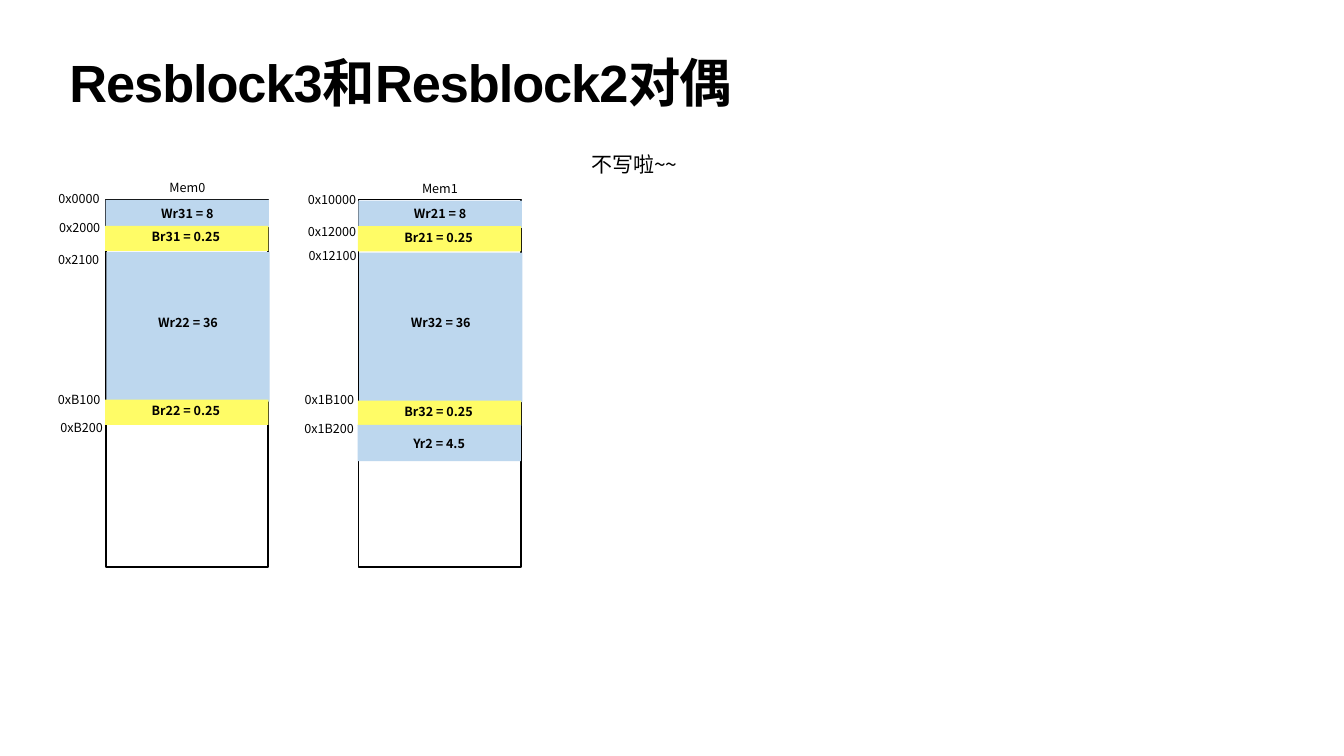
import pptx
import pptx.util
import pptx.dml.color
import pptx.enum.shapes
import pptx.enum.text
import lxml.etree
from dataclasses import dataclass
from typing import Any

Cm, Pt = pptx.util.Cm, pptx.util.Pt
Align, Anchor = pptx.enum.text.PP_ALIGN, pptx.enum.text.MSO_ANCHOR
HUES = {"black": "000000", "blue": "BDD7EE", "yellow": "FFFC66"}
SANS = "Noto Sans CJK SC"


@dataclass
class Kind:
    """Look of a block; label values are relative to the block."""
    hue: str
    left: float
    high: float
    label_left: float
    label_top: float
    label_high: float


@dataclass
class Block:
    text: str
    kind: Kind
    top: float


@dataclass
class Mark:
    text: str
    left: float
    top: float


@dataclass
class Bank:
    left: float
    name: Mark
    blocks: list[Block]
    marks: list[Mark]


# Block kinds
WEIGHT = Kind("blue", 0, 1.37, 0.23, 0, 1.32)
BIAS = Kind("yellow", -0.03, 1.27, 0.18, -0.03, 1.17)
LARGE = Kind("blue", 0.03, 7.54, 0.23, -0.06, 7.21)
RESULT = Kind("blue", -0.05, 1.83, 0.23, 0.46, 0.91)

# Memory banks, lengths in centimetres
BANKS = [
    Bank(5.33, Mark("Mem0", 8.05, 8.94),
         [Block("Wr31 = 8", WEIGHT, 10.08), Block("Br31 = 0.25", BIAS, 11.38),
          Block("Wr22 = 36", LARGE, 12.7), Block("Br22 = 0.25", BIAS, 20.14)],
         [Mark("0x0000", 2.59, 9.5), Mark("0x2000", 2.62, 10.97),
          Mark("0x2100", 2.57, 12.57), Mark("0xB100", 2.59, 19.61),
          Mark("0xB200", 2.72, 21.01)]),
    Bank(18.07, Mark("Mem1", 20.78, 8.97),
         [Block("Wr21 = 8", WEIGHT, 10.11), Block("Br21 = 0.25", BIAS, 11.4),
          Block("Wr32 = 36", LARGE, 12.73), Block("Br32 = 0.25", BIAS, 20.19),
          Block("Yr2 = 4.5", RESULT, 21.41)],
         [Mark("0x10000", 15.34, 9.53), Mark("0x12000", 15.34, 11.15),
          Mark("0x12100", 15.37, 12.34), Mark("0x1B100", 15.21, 19.61),
          Mark("0x1B200", 15.19, 21.06)]),
]


def tint(name: str) -> pptx.dml.color.RGBColor:
    return pptx.dml.color.RGBColor.from_string(HUES[name])


def write(shapes: Any, text: str, left: float, top: float, wide: float,
          high: float, size: float = 18, font: str = SANS, bold: bool = False,
          align: Any = Align.CENTER, anchor: Any = Anchor.TOP,
          inset: float = 0.13, wrap: bool = False) -> Any:
    """Add a text box and return its paragraph."""
    frame = shapes.add_textbox(Cm(left), Cm(top), Cm(wide), Cm(high)).text_frame
    frame.margin_left = frame.margin_right = Cm(inset)
    frame.margin_top = frame.margin_bottom = Cm(inset)
    frame.word_wrap = wrap
    frame.vertical_anchor = anchor
    frame.text = text
    line = frame.paragraphs[0]
    line.alignment = align
    run = line.runs[0]
    run.font.size, run.font.bold = Pt(size), bold
    run.font.color.rgb = tint("black")
    run.font.name = font
    # East Asian typeface
    props = run.font._element
    lxml.etree.SubElement(props, pptx.oxml.ns.qn("a:ea"), typeface=SANS)
    return line


def draw_rect(shapes: Any, left: float, top: float, wide: float,
              high: float) -> Any:
    rect = shapes.add_shape(pptx.enum.shapes.MSO_SHAPE.RECTANGLE,
                            Cm(left), Cm(top), Cm(wide), Cm(high))
    rect.shadow.inherit = False
    return rect


def draw_block(shapes: Any, block: Block, base: float) -> None:
    kind = block.kind
    left = base + kind.left
    group = shapes.add_group_shape().shapes
    rect = draw_rect(group, left, block.top, 8.23, kind.high)
    rect.fill.solid()
    rect.fill.fore_color.rgb = tint(kind.hue)
    rect.line.fill.background()
    write(group, block.text, left + kind.label_left,
          block.top + kind.label_top, 7.77, kind.label_high,
          bold=True, anchor=Anchor.MIDDLE, wrap=True)


def draw_bank(shapes: Any, bank: Bank) -> None:
    # Outline
    rect = draw_rect(shapes, bank.left, 10.06, 8.18, 18.52)
    rect.fill.background()
    rect.line.color.rgb = tint("black")
    rect.line.width = Pt(2.25)
    # Contents
    for block in bank.blocks:
        draw_block(shapes, block, bank.left)
    # Name and addresses
    for mark in [bank.name, *bank.marks]:
        write(shapes, mark.text, mark.left, mark.top, 2.79, 1.02)


def main() -> None:
    deck = pptx.Presentation()
    deck.slide_width, deck.slide_height = Cm(67.74), Cm(38.1)
    shapes = deck.slides.add_slide(deck.slide_layouts[6]).shapes

    # Title
    title = write(shapes, "Resblock3和Resblock2对偶", 3.35, 3, 61.04, 3.99,
                  size=74.8, font="Arial", bold=True, align=Align.LEFT,
                  inset=0.15, wrap=True)
    title.line_spacing = 0.8
    title.runs[0].font._element.set("spc", "-150")

    # Remark
    write(shapes, "不写啦~~", 29.67, 7.52, 33.78, 1.52, size=30,
          align=Align.LEFT, wrap=True)

    # Memory maps
    for bank in BANKS:
        draw_bank(shapes, bank)

    deck.save("out.pptx")


if __name__ == "__main__":
    main()
